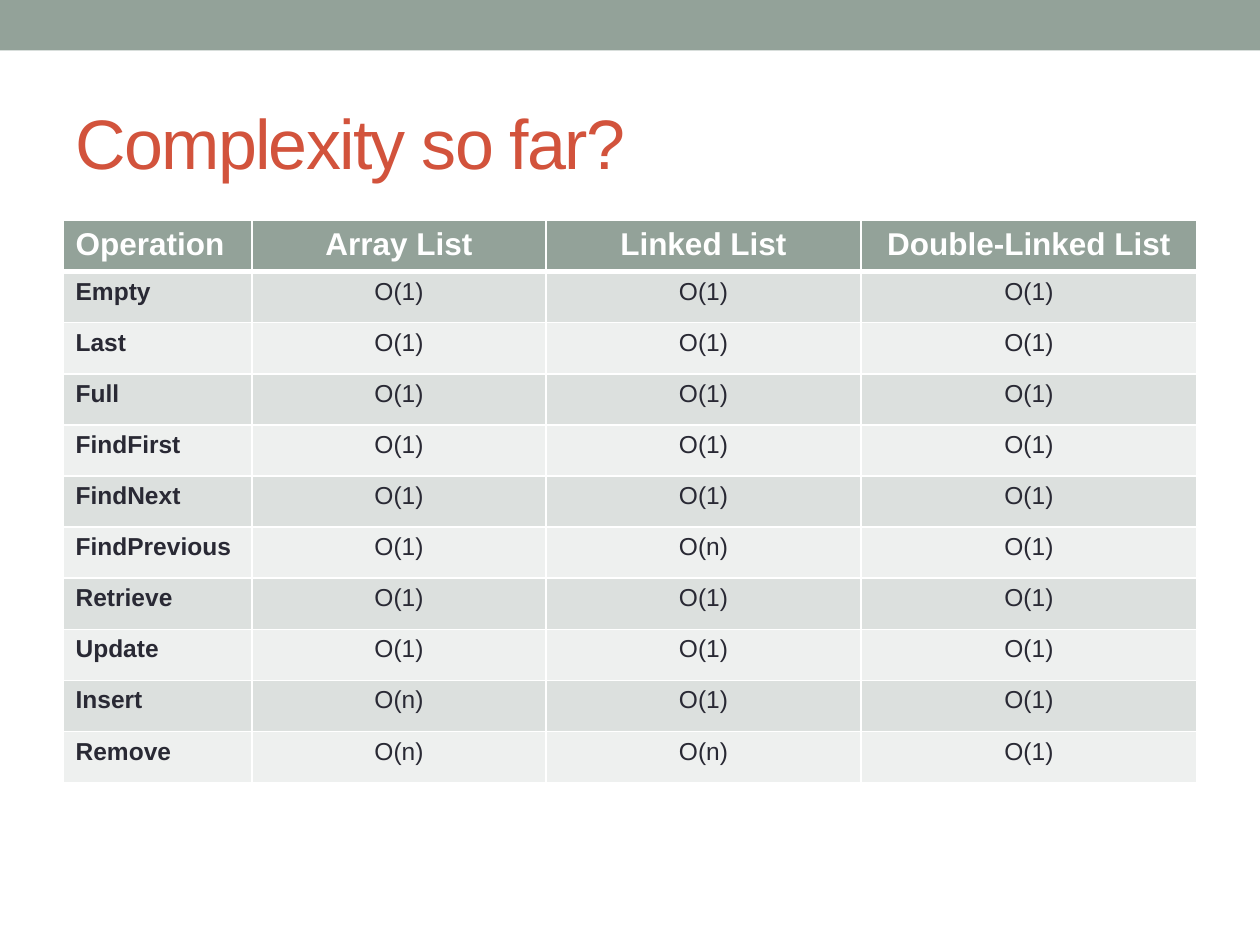
from lxml import etree
from pptx import Presentation
from pptx.dml.color import RGBColor
from pptx.enum import shapes, text
from pptx.oxml import ns
from pptx.util import Pt

SAGE = RGBColor(0x93, 0xA2, 0x99)
RUST = RGBColor(0xD2, 0x53, 0x3C)
INK = RGBColor(0x29, 0x29, 0x34)
WHITE = RGBColor(0xFF, 0xFF, 0xFF)
BANDS = [RGBColor(0xEE, 0xF0, 0xEF), RGBColor(0xDC, 0xE0, 0xDE)]

HEADS = ["Operation", "Array List", "Linked List", "Double-Linked List"]
NAMES = ["Empty", "Last", "Full", "FindFirst", "FindNext", "FindPrevious",
         "Retrieve", "Update", "Insert", "Remove"]
# Operations that take linear time, for each kind of list
SLOW = [{"Insert", "Remove"}, {"FindPrevious", "Remove"}, set()]
WIDTHS = [108, 168, 180, 192]
HIGH = 29.2


def style(run, size, color, bold=False):
    look = {"name": "Arial", "size": Pt(size), "bold": bold}
    for key, val in look.items():
        setattr(run.font, key, val)
    run.font.color.rgb = color


def edge(cell, side, width):
    """Draw a white border on one side (L, R, T or B) of a cell."""
    props = cell._tc.get_or_add_tcPr()
    line = etree.SubElement(props, ns.qn("a:ln" + side), w=str(Pt(width)))
    fill = etree.SubElement(line, ns.qn("a:solidFill"))
    etree.SubElement(fill, ns.qn("a:srgbClr"), val=str(WHITE))


deck = Presentation()
deck.slide_width, deck.slide_height = Pt(720), Pt(540)
slide = deck.slides.add_slide(deck.slide_layouts[5])

# Top band, behind everything else
band = slide.shapes.add_shape(
    shapes.MSO_SHAPE.RECTANGLE, 0, 0, Pt(720), Pt(28.8))
band.shadow.inherit = False
band.fill.solid()
band.fill.fore_color.rgb = SAGE
band.line.fill.background()
slide.shapes._spTree.insert(2, band._element)

# Title
title = slide.shapes.title
place = {"left": 36, "top": 41.76, "width": 648, "height": 77.76}
for key, val in place.items():
    setattr(title, key, Pt(val))
frame = title.text_frame
frame.auto_size = text.MSO_AUTO_SIZE.NONE
frame.vertical_anchor = text.MSO_ANCHOR.MIDDLE
para = frame.paragraphs[0]
para.alignment = text.PP_ALIGN.LEFT
run = para.add_run()
run.text = "Complexity so far?"
style(run, 40, RUST)
run.font._element.set("spc", "-100")

# Table of costs
rows = [HEADS]
for name in NAMES:
    rows.append([name] + ["O(n)" if name in slow else "O(1)" for slow in SLOW])
table = slide.shapes.add_table(
    len(rows), len(HEADS), Pt(36), Pt(126),
    Pt(sum(WIDTHS)), Pt(HIGH * len(rows))).table
for col, width in zip(table.columns, WIDTHS):
    col.width = Pt(width)

for r, row in enumerate(rows):
    table.rows[r].height = Pt(HIGH)
    head = r == 0
    for c, label in enumerate(row):
        cell = table.cell(r, c)
        rules = {"L": 1, "R": 1, "T": 3 if r == 1 else 1, "B": 3 if head else 1}
        for side, width in rules.items():
            edge(cell, side, width)
        cell.fill.solid()
        cell.fill.fore_color.rgb = SAGE if head else BANDS[r % 2]
        para = cell.text_frame.paragraphs[0]
        para.alignment = text.PP_ALIGN.CENTER if c else text.PP_ALIGN.LEFT
        run = para.add_run()
        run.text = label
        style(run, 18 if head else 14, WHITE if head else INK, head or c == 0)

deck.save("out.pptx")
